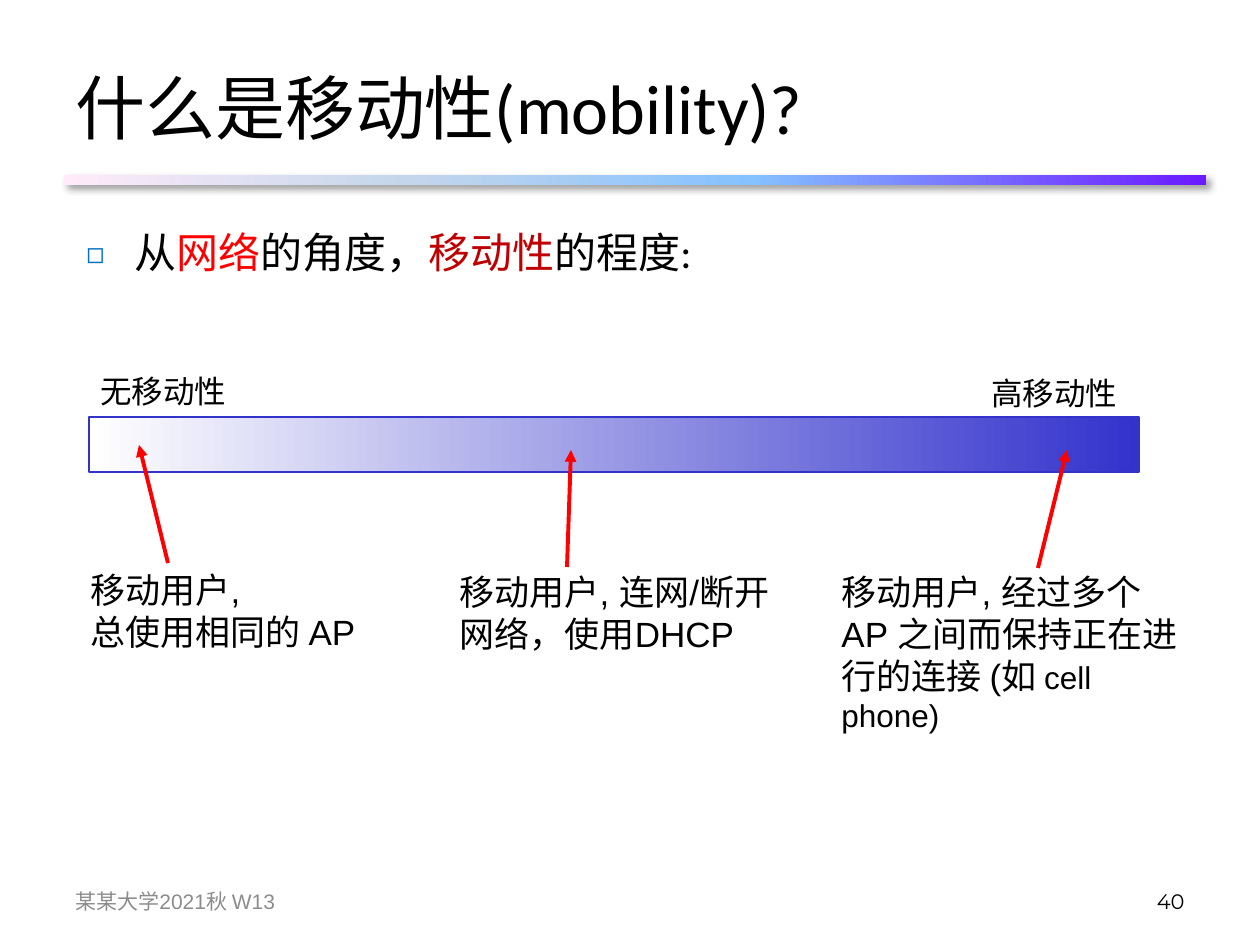
from pptx import Presentation
from pptx.dml.color import RGBColor
from pptx.enum.shapes import MSO_CONNECTOR, MSO_SHAPE
from pptx.enum.text import MSO_ANCHOR, PP_ALIGN
from pptx.oxml import parse_xml
from pptx.oxml.ns import nsdecls
from pptx.util import Pt

RECT = MSO_SHAPE.RECTANGLE
STRAIGHT = MSO_CONNECTOR.STRAIGHT
TOP, MIDDLE = MSO_ANCHOR.TOP, MSO_ANCHOR.MIDDLE
LEFT, RIGHT = PP_ALIGN.LEFT, PP_ALIGN.RIGHT
PX_PER_INCH = 126
CJK = "Noto Sans CJK SC"
COLORS = {
    "black": "000000", "gray": "8C8C8C", "red": "FF0000", "crimson": "C00000",
    "bullet": "0070C0", "white": "FFFFFF", "indigo": "3333CC",
    "pink": "FFEBFA", "mist": "C4D6EB", "sky": "85C2FF", "violet": "6B19FF",
}


def px(n):
    return round(n * 914400 / PX_PER_INCH)


def rgb(name):
    return RGBColor.from_string(COLORS[name])


def xml(tag, body):
    return parse_xml(f"<a:{tag} {nsdecls('a')} {body}")


def add_run(p, text, size=20, font="Arial", color="black"):
    r = p.add_run()
    r.text = text
    r.font.size, r.font.name = Pt(size), font
    r.font.color.rgb = rgb(color)
    r.font._element.append(xml("ea", f'typeface="{CJK}"/>'))


class SlideBuilder:
    """Draws styled elements on the current slide, with lengths in px."""

    def __init__(self, s):
        self.s = s

    def text(self, box, paragraphs, anchor=TOP, align=LEFT, wrap=True, bullet=None, **style):
        tf = self.s.shapes.add_textbox(*map(px, box)).text_frame
        tf.word_wrap, tf.vertical_anchor = wrap, anchor
        for i, runs in enumerate(paragraphs):
            p = tf.paragraphs[0] if i == 0 else tf.add_paragraph()
            p.alignment = align
            if bullet:
                self.bullet(p, bullet)
            for text, changes in runs:
                add_run(p, text, **{**style, **changes})

    def bullet(self, p, char):
        p.space_before = Pt(5)
        pPr = p._p.get_or_add_pPr()
        pPr.set("marL", str(px(48)))
        pPr.set("indent", str(px(-48)))
        pPr.append(xml("buClr", f'><a:srgbClr val="{COLORS["bullet"]}"/></a:buClr>'))
        pPr.append(xml("buSzPct", 'val="70000"/>'))
        pPr.append(xml("buFont", f'typeface="{CJK}"/>'))
        pPr.append(xml("buChar", f'char="{char}"/>'))

    def gradient_bar(self, box, stops, line=None, shadow=False):
        sp = self.s.shapes.add_shape(RECT, *map(px, box))
        sp.shadow.inherit = False
        if line:
            sp.line.color.rgb, sp.line.width = rgb(line), Pt(0.75)
        else:
            sp.line.fill.background()
        spPr = sp._element.spPr
        gs = "".join(f'<a:gs pos="{pos * 1000}"><a:srgbClr val="{COLORS[c]}"/></a:gs>'
                     for pos, c in stops)
        spPr.insert(2, xml("gradFill", f'><a:gsLst>{gs}</a:gsLst><a:lin ang="0" scaled="0"/></a:gradFill>'))
        if shadow:
            spPr[-1].append(xml("outerShdw", f'blurRad="{Pt(4)}" dist="{Pt(3)}" dir="2700000">'
                                '<a:srgbClr val="000000"><a:alpha val="40000"/></a:srgbClr></a:outerShdw>'))

    def arrow(self, x1, y1, x2, y2):
        c = self.s.shapes.add_connector(STRAIGHT, *map(px, (x1, y1, x2, y2)))
        c.line.color.rgb, c.line.width = rgb("red"), Pt(2.25)
        c.line._get_or_add_ln().append(xml("tailEnd", 'type="triangle"/>'))
        c._element.spPr.append(xml("effectLst", "/>"))


def main():
    prs = Presentation()
    prs.slide_width, prs.slide_height = px(1260), px(945)
    b = SlideBuilder(prs.slides.add_slide(prs.slide_layouts[6]))

    b.gradient_bar((64, 175, 1142, 10), [(0, "pink"), (30, "mist"), (60, "sky"), (100, "violet")],
                   shadow=True)
    b.text((63, 38, 1134, 137), [[("什么是移动性(mobility)?", {})]],
           anchor=MIDDLE, size=40, font="Calibri")
    b.text((74, 220, 1130, 79),
           [[("从", {}), ("网络", {"color": "red"}), ("的角度，", {}),
             ("移动性", {"font": CJK, "color": "crimson"}), ("的程度:", {})]],
           bullet="◻", size=24, font="Calibri")

    b.gradient_bar((89, 417, 1050, 55), [(0, "white"), (100, "indigo")], line="indigo")
    for x, y, label in [(88, 366, "无移动性"), (979, 368, "高移动性")]:
        b.text((x, y, 152, 50), [[(label, {})]], wrap=False, size=18)

    notes = [
        ((78, 562, 292, 97), [[("移动用户,", {})], [("总使用相同的 AP", {})]]),
        ((447, 564, 335, 97), [[("移动用户, 连网/断开网络，使用DHCP", {})]]),
        ((829, 564, 370, 178), [[("移动用户, 经过多个AP 之间而保持正在进行的连接 (如 ", {}),
                                 ("cell phone)", {"size": 18})]]),
    ]
    for box, paragraphs in notes:
        b.text(box, paragraphs)
    for ends in [(168, 563, 139, 445), (567, 567, 571, 450), (1038, 568, 1067, 450)]:
        b.arrow(*ends)

    b.text((63, 876, 294, 50), [[("某某大学2021秋 W13", {})]], anchor=MIDDLE, size=12, color="gray")
    b.text((903, 876, 294, 50), [[("40", {})]], anchor=MIDDLE, align=RIGHT, size=12, font="Montserrat")
    prs.save("out.pptx")


if __name__ == "__main__":
    main()
